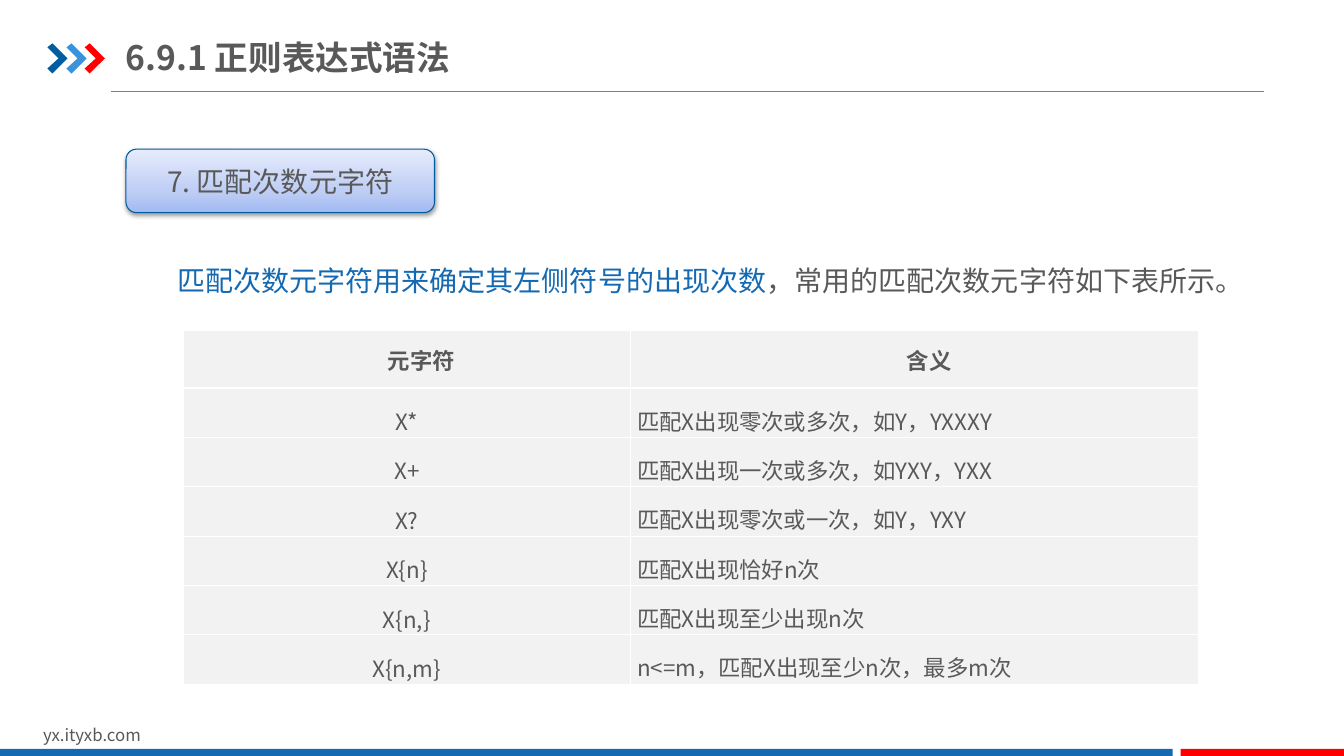
from lxml import etree
from pptx import Presentation
from pptx import util as u
from pptx.dml.color import RGBColor
from pptx.enum import shapes, text
from pptx.oxml import parse_xml
from pptx.oxml.ns import qn

NS = 'xmlns:a="http://schemas.openxmlformats.org/drawingml/2006/main"'
MID, LEFT = text.PP_ALIGN.CENTER, text.PP_ALIGN.LEFT


class Theme:
    font = "Noto Sans CJK SC"
    ink, blue, red, white = "595959", "1369B2", "FF0000", "FFFFFF"
    navy, sky, edge = "005DA2", "3992DB", "005B9E"
    rule, cell = "808080", "F2F2F2"
    glow = [(0, "A2BAF2"), (35, "BFCEF4"), (100, "E6ECFC")]
    title, body, grid, foot = 24, 20, 16, 12


def write(frame, *parts, size, bold=False, align=LEFT, space=None,
          pads=None, anchor=text.MSO_ANCHOR.TOP, indent=0):
    """Fill the first paragraph with (words, colour) parts."""
    frame.word_wrap = True
    frame.vertical_anchor = anchor
    if pads:
        frame.margin_left = frame.margin_right = u.Inches(pads[0])
        frame.margin_top = frame.margin_bottom = u.Inches(pads[1])
    para = frame.paragraphs[0]
    para.alignment = align
    if space:
        para.line_spacing = space
    if indent:
        props = para._p.get_or_add_pPr()
        props.set("marL", "0")
        props.set("indent", str(u.Inches(indent)))
    for words, tint in parts:
        run = para.add_run()
        run.text = words
        font = run.font
        font.size, font.bold, font.name = u.Pt(size), bold, Theme.font
        font.color.rgb = RGBColor.from_string(tint)
        etree.SubElement(run._r.rPr, qn("a:ea")).set("typeface", Theme.font)


def paint(shape, tint):
    shape.shadow.inherit = False
    shape.fill.solid()
    shape.fill.fore_color.rgb = RGBColor.from_string(tint)
    shape.line.fill.background()


deck = Presentation()
deck.slide_width, deck.slide_height = u.Inches(13.33), u.Inches(7.5)
slide = deck.slides.add_slide(deck.slide_layouts[6])
items = slide.shapes

# Header rule and chevrons
rule = items.add_connector(shapes.MSO_CONNECTOR.STRAIGHT, u.Inches(1.1),
                           u.Inches(0.91), u.Inches(12.54), u.Inches(0.91))
rule.line.color.rgb = RGBColor.from_string(Theme.rule)
rule.line.width = u.Pt(0.75)
etree.SubElement(rule._element.spPr, qn("a:effectLst"))

outline = [(0, 0.47), (0.05, 0.43), (0.2, 0.58), (0.05, 0.73), (0, 0.68), (0.11, 0.58)]
for left, tint in zip((0.47, 0.66, 0.84), (Theme.navy, Theme.sky, Theme.red)):
    points = [(u.Inches(left + x), u.Inches(y)) for x, y in outline]
    pen = items.build_freeform(*points[0])
    pen.add_line_segments(points[1:], close=True)
    paint(pen.convert_to_shape(), tint)

# Footer bars
for left, width, tint in ((0, 11.63, Theme.blue), (11.71, 1.62, Theme.red)):
    bar = items.add_shape(shapes.MSO_SHAPE.RECTANGLE, u.Inches(left),
                          u.Inches(7.43), u.Inches(width), u.Inches(0.09))
    paint(bar, tint)

# Footer address, title and lead sentence
labels = [
    ((0.33, 7.14, 3.18, 0.3), [("yx.ityxb.com", Theme.ink)],
     dict(size=Theme.foot)),
    ((1.25, 0.29, 4.26, 0.55), [("6.9.1 正则表达式语法", Theme.ink)],
     dict(size=Theme.title, bold=True, pads=(0, 0.07),
          anchor=text.MSO_ANCHOR.MIDDLE)),
    ((1.66, 2.4, 10.92, 0.6),
     [("匹配次数元字符用来确定其左侧符号的出现次数", Theme.blue),
      ("，常用的匹配次数元字符如下表所示。", Theme.ink)],
     dict(size=Theme.body, space=1.5)),
]
for place, parts, style in labels:
    box = items.add_textbox(*map(u.Inches, place))
    write(box.text_frame, *parts, **style)

# Topic badge
badge = items.add_shape(shapes.MSO_SHAPE.ROUNDED_RECTANGLE, u.Inches(1.25),
                        u.Inches(1.48), u.Inches(3.06), u.Inches(0.63))
paint(badge, Theme.white)
badge.line.color.rgb = RGBColor.from_string(Theme.edge)
badge.line.width = u.Pt(0.75)
stops = "".join(f'<a:gs pos="{pos * 1000}"><a:srgbClr val="{tint}"/></a:gs>'
                for pos, tint in Theme.glow)
props = badge._element.spPr
props.replace(props.find(qn("a:solidFill")), parse_xml(
    f'<a:gradFill {NS} rotWithShape="1"><a:gsLst>{stops}</a:gsLst>'
    '<a:lin ang="16200000" scaled="1"/></a:gradFill>'))
props.find(qn("a:effectLst")).append(parse_xml(
    f'<a:outerShdw {NS} blurRad="{u.Pt(3.1)}" dist="{u.Pt(1.6)}" dir="5400000" '
    'rotWithShape="0"><a:srgbClr val="000000"><a:alpha val="38000"/></a:srgbClr>'
    '</a:outerShdw>'))
write(badge.text_frame, ("7. 匹配次数元字符", Theme.ink), size=Theme.body,
      align=MID, anchor=text.MSO_ANCHOR.MIDDLE)

# Table of quantifiers
rows = [
    ("元字符", "含义"),
    ("X*", "匹配X出现零次或多次，如Y，YXXXY"),
    ("X+", "匹配X出现一次或多次，如YXY，YXX"),
    ("X?", "匹配X出现零次或一次，如Y，YXY"),
    ("X{n}", "匹配X出现恰好n次"),
    ("X{n,}", "匹配X出现至少出现n次"),
    ("X{n,m}", "n<=m，匹配X出现至少n次，最多m次"),
]
table = items.add_table(len(rows), 2, u.Inches(1.82), u.Inches(3.28),
                        u.Inches(10.07), u.Inches(3.51)).table
for col, width in zip(table.columns, (4.43, 5.64)):
    col.width = u.Inches(width)
for r, row in enumerate(rows):
    head = r == 0
    table.rows[r].height = u.Inches(0.57 if head else 0.49)
    for c, words in enumerate(row):
        cell = table.cell(r, c)
        mid = head or c == 0
        write(cell.text_frame, (words, Theme.ink), size=Theme.grid, bold=head,
              align=MID if mid else LEFT, space=None if head else 1.5,
              indent=0.29 if head else 0)
        cell.vertical_anchor = text.MSO_ANCHOR.MIDDLE if mid else text.MSO_ANCHOR.TOP
        cell.margin_left = cell.margin_right = u.Inches(0.07)
        cell.margin_top = cell.margin_bottom = 0
        for side in "LRTB":
            cell._tc.get_or_add_tcPr().append(parse_xml(
                f'<a:ln{side} {NS} w="{u.Pt(1)}"><a:solidFill>'
                f'<a:srgbClr val="{Theme.white}"/></a:solidFill></a:ln{side}>'))
        cell.fill.solid()
        cell.fill.fore_color.rgb = RGBColor.from_string(Theme.cell)

deck.save("out.pptx")
